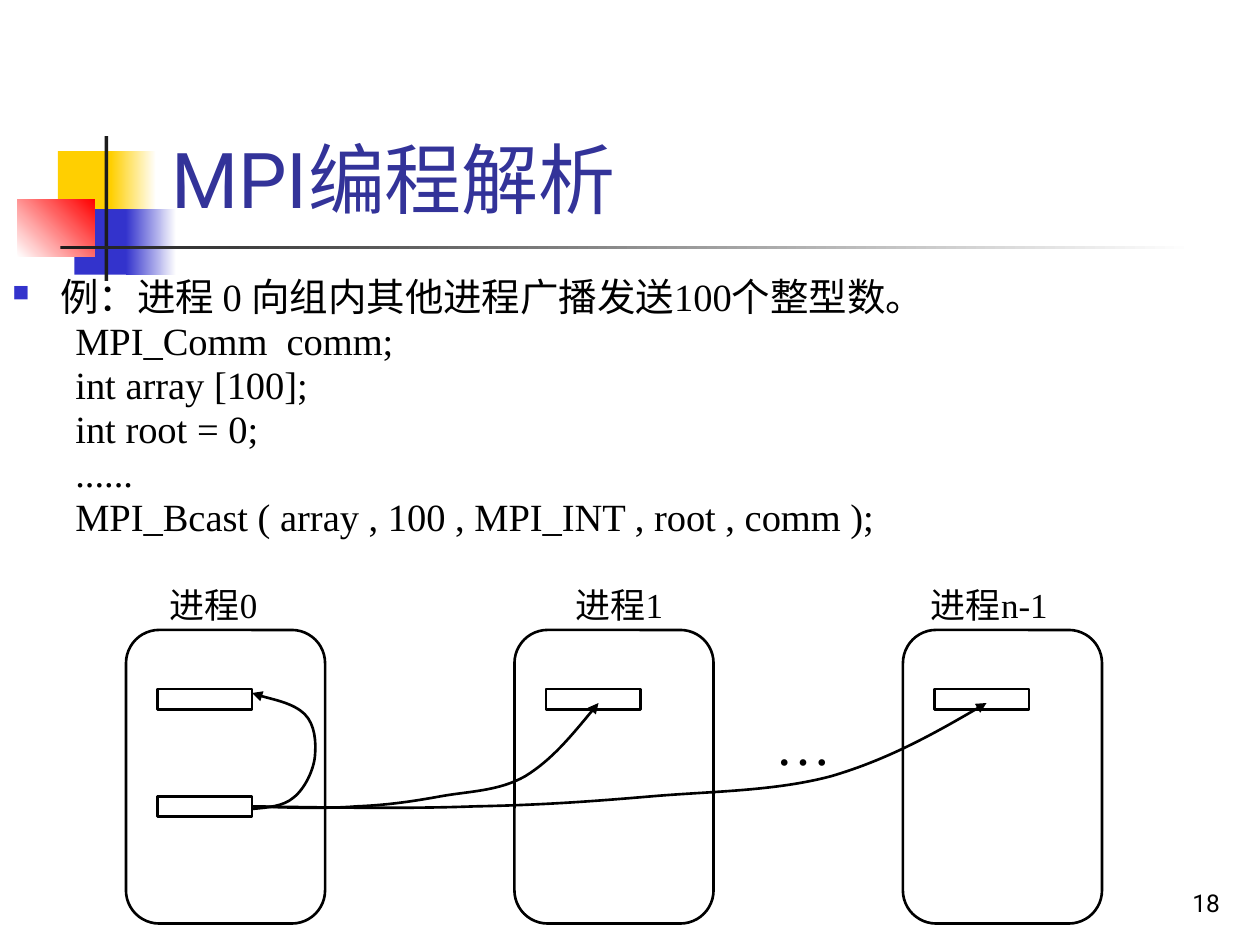
from lxml import etree
from pptx import Presentation
from pptx.dml.color import RGBColor
from pptx.enum.shapes import MSO_SHAPE
from pptx.enum.text import MSO_ANCHOR, PP_ALIGN
from pptx.oxml.ns import qn
from pptx.util import Inches, Pt

RECT, ROUNDED = MSO_SHAPE.RECTANGLE, MSO_SHAPE.ROUNDED_RECTANGLE
TOP, BOTTOM = MSO_ANCHOR.TOP, MSO_ANCHOR.BOTTOM
LEFT, CENTER, RIGHT = PP_ALIGN.LEFT, PP_ALIGN.CENTER, PP_ALIGN.RIGHT

BLACK = RGBColor(0x00, 0x00, 0x00)
WHITE = RGBColor(0xFF, 0xFF, 0xFF)
YELLOW = RGBColor(0xFF, 0xCF, 0x01)
BLUE = RGBColor(0x33, 0x33, 0xCC)
RED = RGBColor(0xFF, 0x00, 0x00)
CHARCOAL = RGBColor(0x1C, 0x1C, 0x1C)
TITLE_BLUE = RGBColor(0x33, 0x33, 0x99)
SANS, SERIF = "Roboto", "Times New Roman"


def add_box(shapes, kind, left, top, width, height):
    box = shapes.add_shape(kind, Inches(left), Inches(top), Inches(width), Inches(height))
    box.shadow.inherit = False
    box.fill.background()
    box.line.fill.background()
    return box


def add_text(shapes, lines, left, top, width, height, font, size, color,
             align=LEFT, anchor=TOP, before=0):
    frame = shapes.add_textbox(Inches(left), Inches(top), Inches(width), Inches(height)).text_frame
    frame.word_wrap = True
    frame.vertical_anchor = anchor
    frame.text = "\n".join(lines)
    for paragraph in frame.paragraphs:
        paragraph.alignment = align
        paragraph.space_before = Pt(before)
        run_font = paragraph.runs[0].font
        run_font.name, run_font.size, run_font.color.rgb = font, Pt(size), color
    return frame


prs = Presentation()
prs.slide_width, prs.slide_height = Inches(10), Inches(7.5)
slide = prs.slides.add_slide(prs.slide_layouts[6])

# Decoration: left, top, width, height, colours (two make a gradient), angle
decorations = [
    (0.46, 1.2, 0.48, 0.52, [YELLOW], 0),
    (0.88, 1.2, 0.36, 0.52, [YELLOW, WHITE], 0),
    (0.59, 1.66, 0.46, 0.52, [BLUE], 0),
    (1, 1.66, 0.4, 0.52, [BLUE, WHITE], 0),
    (0.14, 1.58, 0.61, 0.46, [WHITE, RED], 45),
    (0.83, 1.08, 0.03, 1.15, [CHARCOAL], 0),
    (0.48, 1.95, 9, 0.03, [CHARCOAL, WHITE], 0),
]
for left, top, width, height, colors, angle in decorations:
    fill = add_box(slide.shapes, RECT, left, top, width, height).fill
    if len(colors) == 1:
        fill.solid()
        fill.fore_color.rgb = colors[0]
    else:
        fill.gradient()
        fill.gradient_angle = angle
        for stop, color in zip(fill.gradient_stops, colors):
            stop.color.rgb = color

# Slide number and title
add_text(slide.shapes, ["18"], 7.7, 6.83, 2.08, 0.5, SANS, 14, BLACK, RIGHT, BOTTOM)
add_text(slide.shapes, ["MPI编程解析"], 1.26, 0.23, 8.52, 1.6, SANS, 44, TITLE_BLUE,
         anchor=BOTTOM)

# Example: a bulleted heading followed by indented code
example = add_text(slide.shapes, [
    "例：进程 0 向组内其他进程广播发送100个整型数。",
    "MPI_Comm  comm;",
    "int array [100];",
    "int root = 0;",
    "......",
    "MPI_Bcast ( array , 100 , MPI_INT , root , comm );",
], 0, 2.17, 9.8, 2.29, SERIF, 22, BLACK, before=2.8)
for index, paragraph in enumerate(example.paragraphs):
    paragraph.line_spacing = 0.85
    paragraph.level = min(index, 1)
    margin, indent = (0.81, -0.31) if index else (0.38, -0.38)
    properties = paragraph._p.get_or_add_pPr()
    properties.set("marL", str(Inches(margin)))
    properties.set("indent", str(Inches(indent)))
    if index == 0:
        bullet_color = etree.SubElement(properties, qn("a:buClr"))
        etree.SubElement(bullet_color, qn("a:srgbClr"), val=str(BLUE))
        etree.SubElement(properties, qn("a:buSzPct"), val="60000")
        etree.SubElement(properties, qn("a:buChar"), char="■")
    else:
        etree.SubElement(properties, qn("a:buNone"))

# Processes with their buffers
diagram = slide.shapes.add_group_shape().shapes
processes = [
    ("进程0", 1.25, 1.17, LEFT, [5.47, 6.32]),
    ("进程1", 4.33, 1.17, CENTER, [5.47]),
    ("进程n-1", 7.29, 1.37, LEFT, [5.47]),
]
for index, (label, label_left, label_width, align, buffer_tops) in enumerate(processes):
    left = 1 + index * 3.083
    outlines = [add_box(diagram, ROUNDED, left, 5, 1.58, 2.33)]
    for top in buffer_tops:
        outlines.append(add_box(diagram, RECT, left + 0.25, top, 0.75, 0.16))
    for outline in outlines:
        outline.line.color.rgb = BLACK
        outline.line.width = Pt(1.5)
    add_text(diagram, [label], label_left, 4.58, label_width, 0.44, SERIF, 20, BLACK,
             align, before=12.5)
add_text(diagram, ["…"], 5.92, 5.58, 0.92, 0.64, SERIF, 32, BLACK, CENTER, before=20)

# Broadcast arrows: a start point, then three Bezier points per segment
arrows = [
    [(2, 6.42), (2.12, 6.41), (2.25, 6.4), (2.33, 6.33), (2.42, 6.26), (2.49, 6.11), (2.5, 6),
     (2.51, 5.89), (2.5, 5.75), (2.42, 5.67), (2.33, 5.58), (2.07, 5.53), (2, 5.5)],
    [(2, 6.4), (2.29, 6.41), (2.58, 6.42), (2.83, 6.4), (3.08, 6.39), (3.28, 6.36), (3.5, 6.32),
     (3.72, 6.28), (3.96, 6.28), (4.17, 6.16), (4.38, 6.03), (4.56, 5.81), (4.75, 5.58)],
    [(2, 6.4), (2.62, 6.41), (3.24, 6.42), (3.77, 6.4), (4.3, 6.39), (4.71, 6.36), (5.18, 6.32),
     (5.65, 6.28), (6.15, 6.28), (6.6, 6.16), (7.04, 6.03), (7.44, 5.81), (7.83, 5.58)],
]
for points in arrows:
    points = [(Inches(x), Inches(y)) for x, y in points]
    builder = diagram.build_freeform(*points[0])
    builder.add_line_segments(points[1:], close=False)
    arrow = builder.convert_to_shape()
    arrow.shadow.inherit = False
    arrow.fill.background()
    arrow.line.color.rgb = BLACK
    arrow.line.width = Pt(1.5)
    etree.SubElement(arrow.line._get_or_add_ln(), qn("a:tailEnd"), type="triangle")
    # Merge every three straight segments into one cubic curve
    segments = list(arrow._element.iter(qn("a:lnTo")))
    outline_path = segments[0].getparent()
    for start in range(0, len(segments), 3):
        curve = etree.SubElement(outline_path, qn("a:cubicBezTo"))
        for segment in segments[start:start + 3]:
            curve.append(segment[0])
            outline_path.remove(segment)

prs.save("out.pptx")
